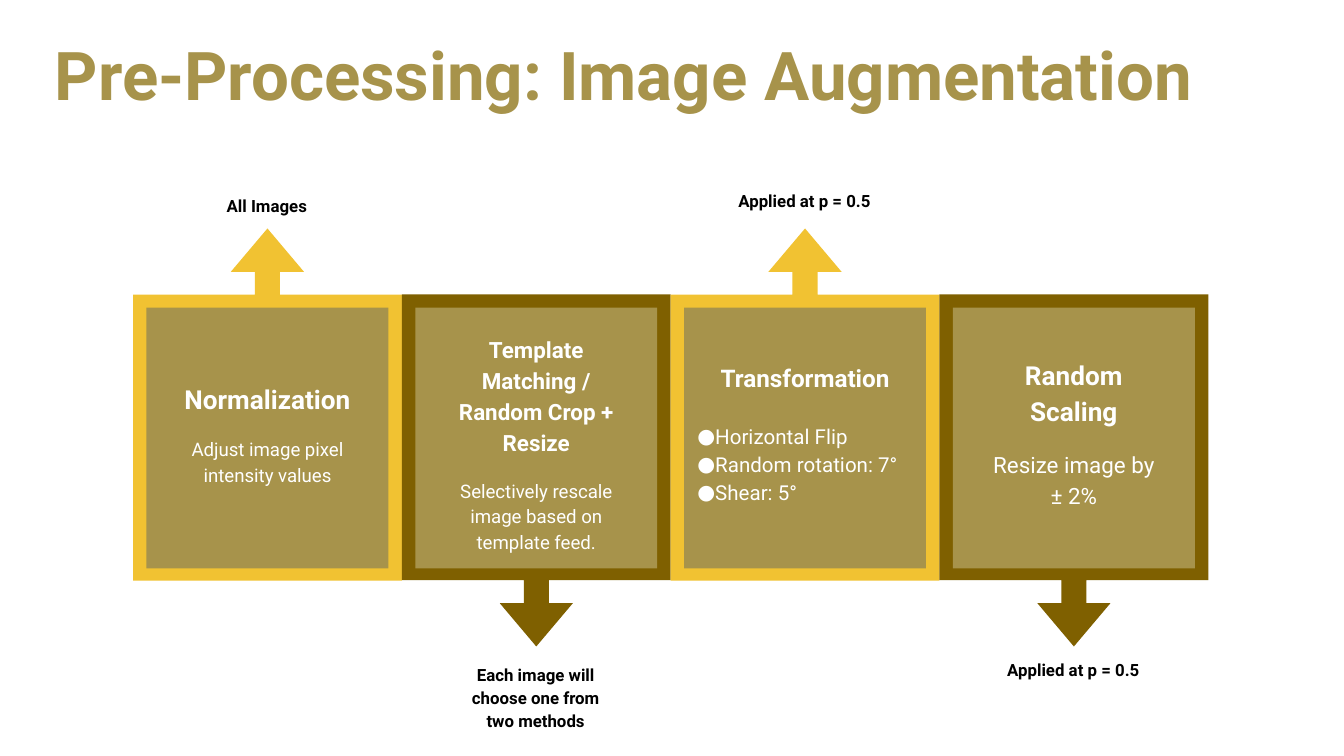
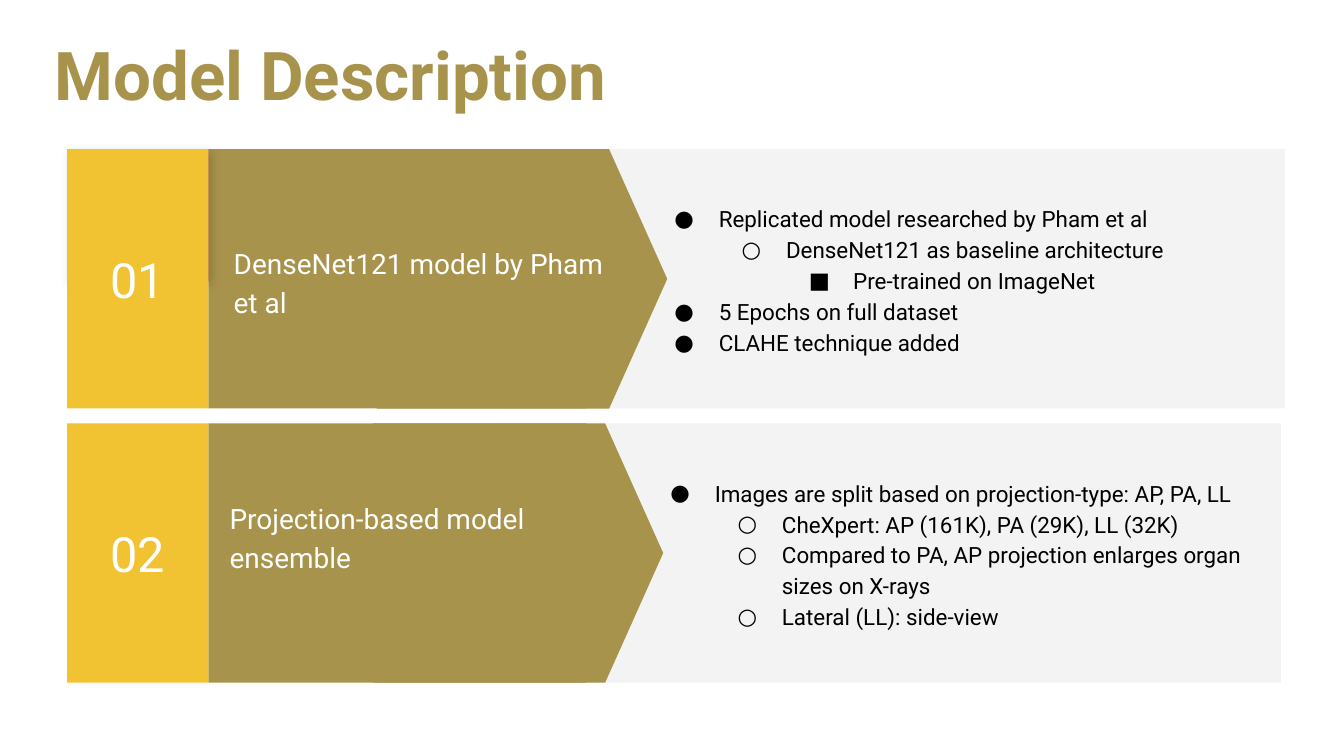
from lxml.etree import SubElement
from pptx import Presentation
from pptx.dml.color import RGBColor
from pptx.enum.shapes import MSO_SHAPE
from pptx.enum.text import MSO_ANCHOR, PP_ALIGN
from pptx.oxml.ns import qn
from pptx.util import Inches, Pt

WIDE = 10
HIGH = WIDE * 9 / 16
GOLD = RGBColor(0xA7, 0x93, 0x4B)
AMBER = RGBColor(0xF1, 0xC2, 0x32)
BROWN = RGBColor(0x7F, 0x60, 0x00)
RED = RGBColor(0xB0, 0x2C, 0x20)
PALE = RGBColor(0xF3, 0xF3, 0xF3)
WHITE = RGBColor(0xFF, 0xFF, 0xFF)
BLACK = RGBColor(0, 0, 0)
FONT = "Roboto"
MARKS = "●○■"

# Step row on the first slide
STEP = WIDE / 5
EDGE = 0.99
# Model rows on the second slide
TOP, ROW, PITCH = 1.11, 1.93, 2.04
LEFT, TAB = 0.5, 1.05


def put_shape(slide, kind, box, fill, turn=0):
    shape = slide.shapes.add_shape(kind, *map(Inches, box))
    shape.shadow.inherit = False
    shape.fill.solid()
    shape.fill.fore_color.rgb = fill
    shape.line.fill.background()
    shape.rotation = turn
    return shape


def set_frame(frame, anchor, pad=0.1, foot=0.1):
    frame.word_wrap = True
    frame.vertical_anchor = anchor
    frame.margin_left = frame.margin_right = Inches(0.1)
    frame.margin_top, frame.margin_bottom = Inches(pad), Inches(foot)


def put_text(slide, box, anchor=MSO_ANCHOR.MIDDLE, pad=0.1, foot=0.1):
    frame = slide.shapes.add_textbox(*map(Inches, box)).text_frame
    set_frame(frame, anchor, pad, foot)
    return frame


def add_para(frame, text, size, color, bold=False, align=PP_ALIGN.LEFT,
             lead=1.15, gap=0):
    """Fill the first paragraph if it is still empty, else append one."""
    para = frame.paragraphs[0]
    if para.runs:
        para = frame.add_paragraph()
    para.alignment = align
    para.line_spacing = lead
    para.space_before = Pt(gap)
    run = para.add_run()
    run.text = text
    font = run.font
    font.name, font.size, font.bold = FONT, Pt(size), bold
    font.color.rgb = color
    return para


def add_mark(para, mark, color, left, hang):
    props = para._p.get_or_add_pPr()
    props.set("marL", str(Inches(left)))
    props.set("indent", str(-Inches(hang)))
    tint = SubElement(props, qn("a:buClr"))
    SubElement(tint, qn("a:srgbClr"), val=str(color))
    SubElement(props, qn("a:buFont"), typeface=FONT)
    SubElement(props, qn("a:buChar"), char=mark)


def add_shade(shape):
    effects = shape._element.spPr.find(qn("a:effectLst"))
    shade = SubElement(effects, qn("a:outerShdw"), blurRad=str(Pt(5.6)),
                       dist=str(Pt(2.2)), dir=str(45 * 60000))
    tint = SubElement(shade, qn("a:srgbClr"), val=str(BLACK))
    SubElement(tint, qn("a:alpha"), val="17000")


def new_slide(deck, title):
    slide = deck.slides.add_slide(deck.slide_layouts[6])
    frame = put_text(slide, (0.31, 0.17, WIDE - 0.62, 0.83), pad=0.05, foot=0.05)
    add_para(frame, title, 36, GOLD, True, lead=0.9)
    return slide


def add_step(slide, col, step):
    """Draw one framed step; odd columns point down, even ones up."""
    head, size, body, small, gap, wide, top, note, high = step
    mid = EDGE + STEP * (col + 0.5)
    down = col % 2
    long = 2.62
    frame_top = 2.5 if down else 2.01
    arrow = put_shape(slide, MSO_SHAPE.RIGHT_ARROW_CALLOUT,
                      (mid - long / 2, frame_top, long, STEP),
                      BROWN if down else AMBER, 90 if down else 270)
    for i, value in enumerate((0.093, 0.136, 0.161, 0.812)):
        arrow.adjustments[i] = value
    put_shape(slide, MSO_SHAPE.SNIP_1_RECTANGLE,
              (mid - 0.9, 2.29, 1.8, 1.94), GOLD).adjustments[0] = 0

    text = put_text(slide, (mid - wide / 2, top, wide, 1.61))
    add_para(text, head, size, WHITE, True, PP_ALIGN.CENTER)
    if isinstance(body, str):
        add_para(text, body, small, WHITE, align=PP_ALIGN.CENTER, gap=gap)
    else:
        for i, line in enumerate(body):
            para = add_para(text, line, small, WHITE, gap=0 if i else gap)
            add_mark(para, MARKS[0], WHITE, 0.12, 0.17)

    label = put_text(slide, (mid - 0.68, high, 1.35, 0.4), MSO_ANCHOR.TOP)
    add_para(label, note, 9, BLACK, True, PP_ALIGN.CENTER)


def add_model(slide, row, model):
    name, points, shift, wide, foot = model
    top = TOP + PITCH * row
    put_shape(slide, MSO_SHAPE.RECTANGLE, (3.74 - shift, top, 5.82, ROW), PALE)
    put_shape(slide, MSO_SHAPE.RECTANGLE, (LEFT + TAB, top, 2.81, ROW), GOLD)
    tip = 2.16
    put_shape(slide, MSO_SHAPE.FLOWCHART_OFFPAGE_CONNECTOR,
              (2.92 - shift, top + (ROW - tip) / 2, ROW, tip), GOLD, 270)
    label = put_text(slide, (1.64 - shift, top + 0.23, 2.95, 1.49), foot=foot)
    add_para(label, name, 15, WHITE)

    if row == 0:
        add_shade(put_shape(slide, MSO_SHAPE.RECTANGLE,
                            (LEFT, top, TAB, 0.98), RED))
    tab = put_shape(slide, MSO_SHAPE.RECTANGLE, (LEFT, top, TAB, ROW), AMBER)
    set_frame(tab.text_frame, MSO_ANCHOR.MIDDLE)
    add_para(tab.text_frame, f"{row + 1:02}", 26, WHITE,
             align=PP_ALIGN.CENTER, lead=1.0)

    notes = put_text(slide, (4.75 - shift, top, wide, ROW))
    for level, line in points:
        para = add_para(notes, line, 12, BLACK)
        para.level = level
        add_mark(para, MARKS[level], BLACK, 0.5 * (level + 1), 0.33)


# Heading, size, body, size, gap, text width, text top, note, note top
STEPS = [
    ("Normalization", 14, "Adjust image pixel intensity values", 10, 10.8,
     1.51, 2.41, "All Images", 1.35),
    ("Template Matching / Random Crop + Resize", 12,
     "Selectively rescale image based on template feed.", 10, 10.8,
     1.51, 2.49, "Each image will choose one from two methods", 4.82),
    ("Transformation", 13,
     ["Horizontal Flip", "Random rotation: 7°", "Shear: 5°"], 11, 14.8,
     1.8, 2.41, "Applied at p = 0.5", 1.31),
    ("Random Scaling", 14, "Resize image by ± 2%", 12, 10.8,
     1.51, 2.41, "Applied at p = 0.5", 4.8),
]

# Name, points with levels, shift to the left, notes width, label foot
MODELS = [
    ("DenseNet121 model by Pham et al", [
        (0, "Replicated model researched by Pham et al"),
        (1, "DenseNet121 as baseline architecture"),
        (2, "Pre-trained on ImageNet"),
        (0, "5 Epochs on full dataset"),
        (0, "CLAHE technique added"),
    ], 0, 4.52, 0.1),
    ("Projection-based model ensemble", [
        (0, "Images are split based on projection-type: AP, PA, LL"),
        (1, "CheXpert: AP (161K), PA (29K), LL (32K)"),
        (1, "Compared to PA, AP projection enlarges organ sizes on X-rays"),
        (1, "Lateral (LL): side-view"),
    ], 0.03, 4.64, 0.38),
]


def main():
    deck = Presentation()
    deck.slide_width, deck.slide_height = Inches(WIDE), Inches(HIGH)
    slide = new_slide(deck, "Pre-Processing: Image Augmentation")
    for col, step in enumerate(STEPS):
        add_step(slide, col, step)
    slide = new_slide(deck, "Model Description")
    for row, model in enumerate(MODELS):
        add_model(slide, row, model)
    deck.save("out.pptx")


if __name__ == "__main__":
    main()
